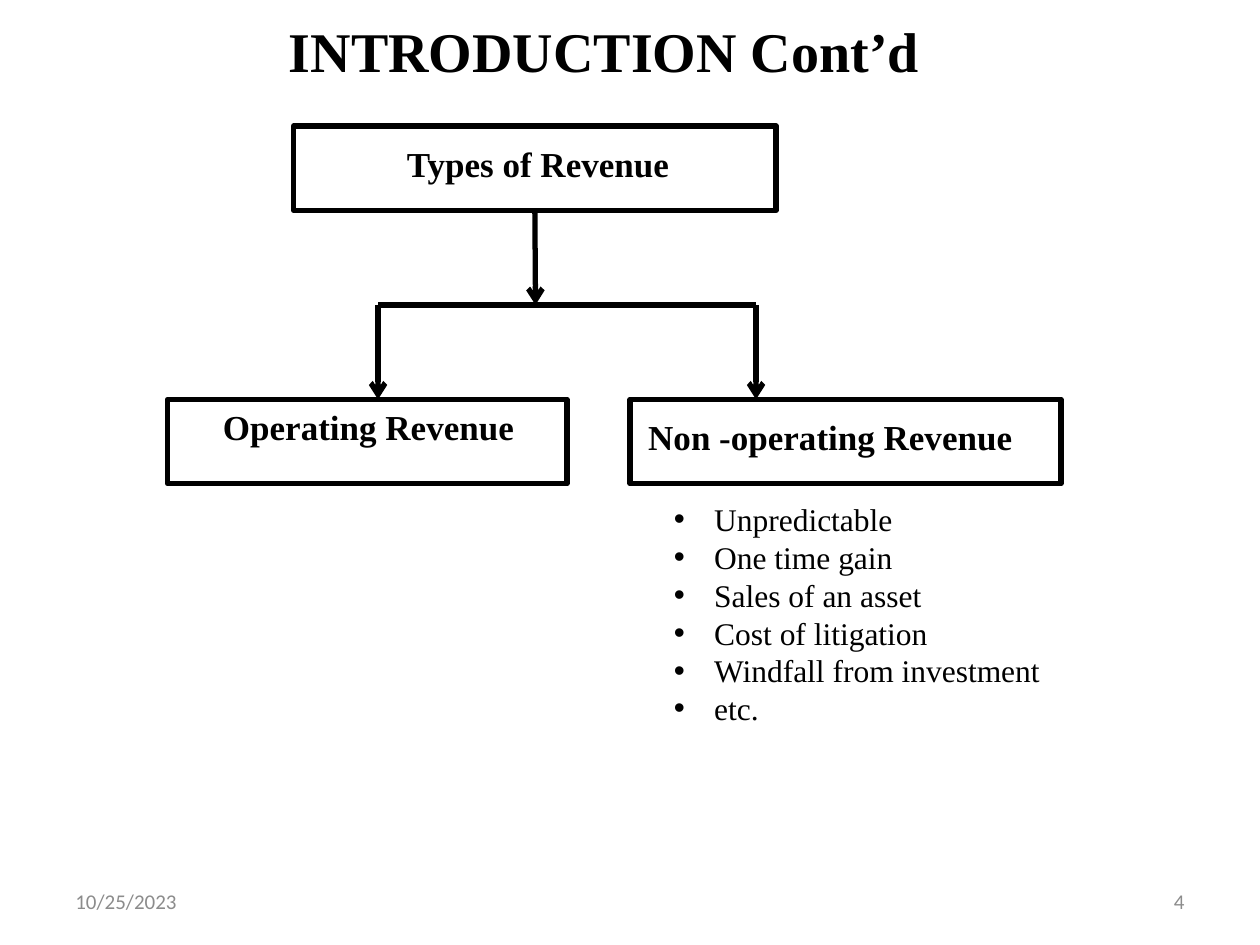
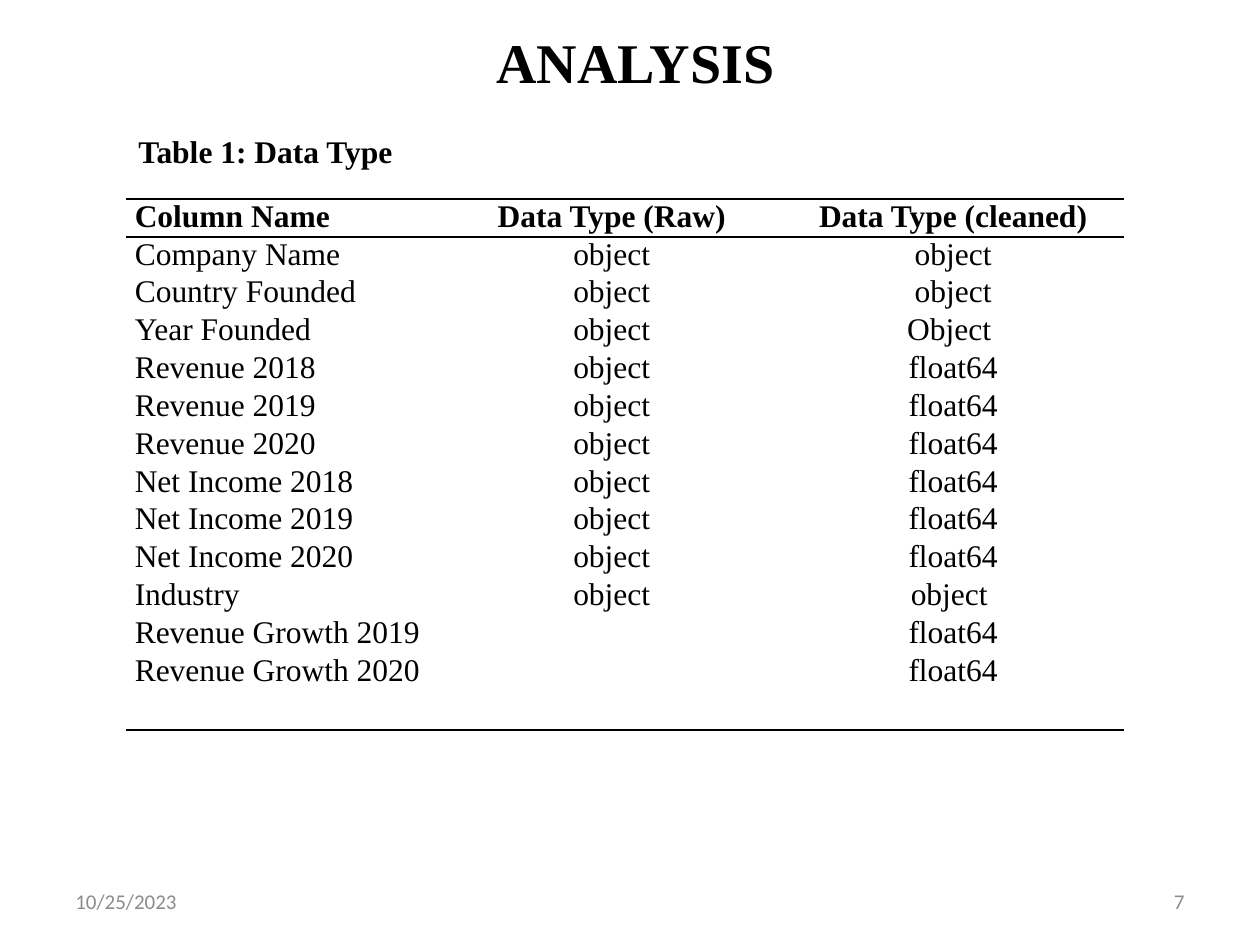
from dataclasses import dataclass

from lxml import etree
from pptx import Presentation, util as u
from pptx.dml.color import RGBColor
from pptx.enum import shapes, text
from pptx.oxml import ns

Inches, Pt = u.Inches, u.Pt
LEFT, CENTER = text.PP_ALIGN.LEFT, text.PP_ALIGN.CENTER
RIGHT, JUSTIFY = text.PP_ALIGN.RIGHT, text.PP_ALIGN.JUSTIFY


@dataclass(frozen=True)
class Theme:
    ink: RGBColor = RGBColor(0, 0, 0)
    paper: RGBColor = RGBColor(255, 255, 255)
    muted: RGBColor = RGBColor(0x8C, 0x8C, 0x8C)
    serif: str = "Times New Roman"
    sans: str = "Calibri"
    title: int = 32
    label: int = 20
    body: int = 18
    footer: int = 12
    stroke: int = 3
    rule: int = 1


T = Theme()

GAINS = ["Unpredictable ", "One time gain ", "Sales of an asset",
         "Cost of litigation ", "Windfall from investment  ", "etc."]

HEADER = ("Column Name", "Data Type (Raw)", "Data Type (cleaned)")
NUMERIC = [f"{name} {year}" for name in ("Revenue", "Net Income")
           for year in (2018, 2019, 2020)]
ROWS = [
    HEADER,
    ("Company Name", "object", "object"),
    ("Country Founded", "object", "object"),
    ("Year Founded", "object", "Object "),
    *[(name, "object", "float64") for name in NUMERIC],
    ("Industry", "object", "object "),
    *[(f"Revenue Growth {year}", "", "float64") for year in (2019, 2020)],
]


def sub(parent, tag, **attrs):
    return etree.SubElement(parent, ns.qn(tag), attrs)


def style(p, size, bold=False, align=LEFT, name=T.serif, color=T.ink):
    p.alignment = align
    p.font.size, p.font.bold, p.font.name = Pt(size), bold, name
    p.font.color.rgb = color


def add_text(s, box, lines, size, wrap=True, grow=True, **look):
    tf = s.shapes.add_textbox(*map(Inches, box)).text_frame
    tf.word_wrap = wrap
    if grow:
        tf.auto_size = text.MSO_AUTO_SIZE.SHAPE_TO_FIT_TEXT
    tf.text = "\n".join(lines)
    for p in tf.paragraphs:
        style(p, size, **look)
    return tf


def add_title(s, box, title):
    add_text(s, box, [title], T.title, wrap=False, bold=True, align=CENTER)


def add_footer(s, number):
    for x, words, align in ((0.5, "10/25/2023", LEFT), (7.17, number, RIGHT)):
        tf = add_text(s, (x, 6.95, 2.33, 0.4), [words], T.footer, grow=False,
                      align=align, name=T.sans, color=T.muted)
        tf.vertical_anchor = text.MSO_ANCHOR.MIDDLE


def add_box(s, box, label, label_box):
    sp = s.shapes.add_shape(shapes.MSO_SHAPE.RECTANGLE, *map(Inches, box))
    sp.shadow.inherit = False
    sp.fill.solid()
    sp.fill.fore_color.rgb = T.paper
    sp.line.color.rgb, sp.line.width = T.ink, Pt(T.stroke)
    add_text(s, label_box, [label], T.label, bold=True, align=CENTER)
    return sp


def add_line(s, start, end, arrow=False):
    c = s.shapes.add_connector(shapes.MSO_CONNECTOR.STRAIGHT,
                               *map(Inches, start + end))
    c.line.color.rgb, c.line.width = T.ink, Pt(T.stroke)
    if arrow:
        sub(c.line._get_or_add_ln(), "a:tailEnd", type="arrow")
    sub(c._element.spPr, "a:effectLst")
    return c


def add_bullets(s, box, items):
    tf = add_text(s, box, items, T.body, wrap=False, align=JUSTIFY)
    for p in tf.paragraphs:
        pPr = p._p.get_or_add_pPr()
        pPr.set("marL", str(Inches(0.32)))
        pPr.set("indent", str(-Inches(0.32)))
        font = etree.Element(ns.qn("a:buFont"), typeface="Arial")
        mark = etree.Element(ns.qn("a:buChar"), char="•")
        pPr.insert(0, font)
        pPr.insert(1, mark)


def set_borders(cell, ruled):
    tcPr = cell._tc.get_or_add_tcPr()
    for side in "LRTB":
        ln = sub(tcPr, f"a:ln{side}", w=str(Pt(T.rule)))
        if side in ruled:
            sub(sub(ln, "a:solidFill"), "a:srgbClr", val=str(T.ink))
        else:
            sub(ln, "a:noFill")


def add_data_table(s, left, top, widths, rows, row_height, last_height):
    heights = [row_height] * (len(rows) - 1) + [last_height]
    table = s.shapes.add_table(len(rows), len(widths), Inches(left), Inches(top),
                               Inches(sum(widths)), Inches(sum(heights))).table
    table.first_row = table.horz_banding = False
    for col, width in zip(table.columns, widths):
        col.width = Inches(width)
    ruled = {0: "TB", 1: "T", len(rows) - 1: "B"}
    for i, (values, height) in enumerate(zip(rows, heights)):
        table.rows[i].height = Inches(height)
        for j, value in enumerate(values):
            cell = table.cell(i, j)
            cell.margin_left = cell.margin_right = Inches(0.07)
            cell.margin_top = cell.margin_bottom = 0
            cell.text = value
            style(cell.text_frame.paragraphs[0], T.body, bold=i == 0,
                  align=CENTER if j else LEFT)
            set_borders(cell, ruled.get(i, ""))
            cell.fill.background()


def build_revenue_types(s):
    add_title(s, (2.17, 0.08, 5.25, 0.64), "INTRODUCTION Cont’d")
    root = add_box(s, (2.33, 1, 3.83, 0.67), "Types of Revenue",
                   (2.5, 1.08, 3.54, 0.44))
    fork_y, leaf_y, branches = 2.42, 3.17, (3, 6)
    stem = add_line(s, (4.25, 1.67), (4.25, fork_y), arrow=True)
    stem.begin_connect(root, 2)
    add_line(s, (branches[0], fork_y), (branches[1], fork_y))
    for x in branches:
        add_line(s, (x, fork_y), (x, leaf_y), arrow=True)
    add_box(s, (1.33, leaf_y, 3.17, 0.67), "Operating Revenue ",
            (1.42, leaf_y, 3.08, 0.44))
    add_box(s, (5, leaf_y, 3.42, 0.67), "Non -operating Revenue ",
            (5, 3.25, 3.25, 0.44))
    add_bullets(s, (5.25, 3.92, 3.26, 1.92), GAINS)
    add_footer(s, "4")


def build_analysis(s):
    add_title(s, (3.83, 0.17, 2.43, 0.64), "ANALYSIS")
    add_text(s, (1, 1, 3.42, 0.4), ["Table 1: Data Type"], T.body, bold=True)
    add_data_table(s, 1, 1.58, (2.5, 2.71, 2.71), ROWS, 0.3, 0.61)
    add_footer(s, "7")


def main():
    prs = Presentation()
    prs.slide_width, prs.slide_height = Inches(10), Inches(7.5)
    for build in (build_revenue_types, build_analysis):
        build(prs.slides.add_slide(prs.slide_layouts[6]))
    prs.save("out.pptx")


if __name__ == "__main__":
    main()
